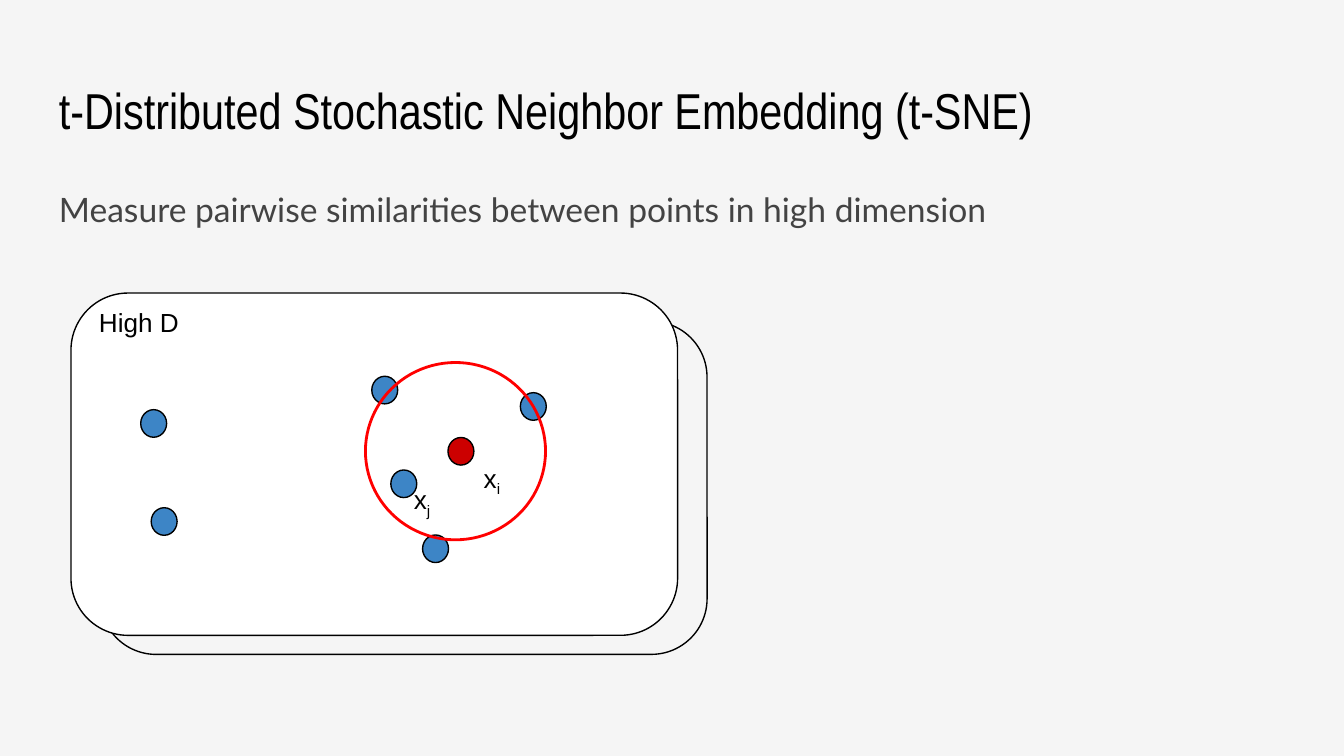
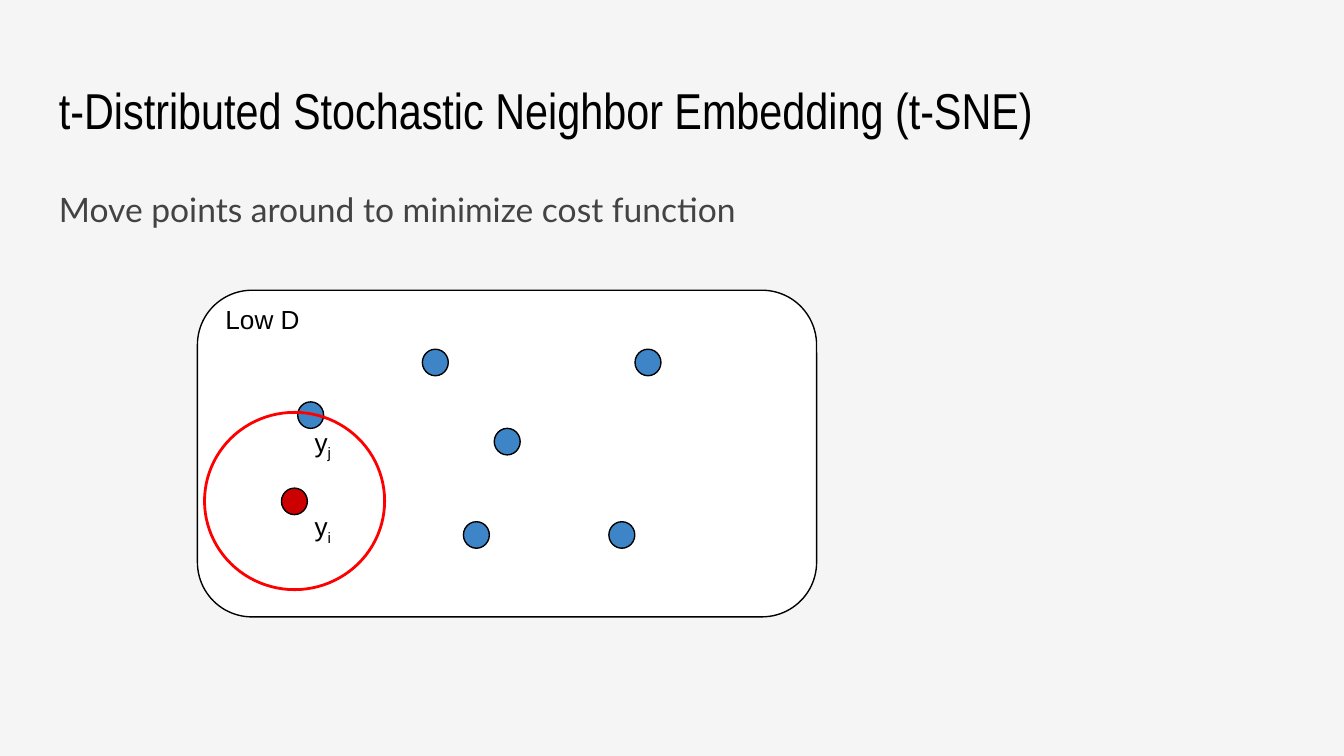
from pptx import Presentation
from pptx.dml.color import RGBColor
from pptx.enum.shapes import MSO_SHAPE
from pptx.enum.text import MSO_ANCHOR
from pptx.util import Pt

COLORS = {
    "background": "F5F5F5",
    "black": "000000",
    "subtitle": "434343",
    "card": "FFFFFF",
    "neighbor": "3D85C6",
    "center": "CC0000",
    "ring": "FF0000",
}
TITLE = "t-Distributed Stochastic Neighbor Embedding (t-SNE)"
MARGIN, TEXT_W = 24.5, 671
RING_W, RING_H = 96.5, 95
DOT_W = 13.9


def rgb(name):
    """Return the palette colour called name."""
    return RGBColor.from_string(COLORS[name])


def add_shape(slide, kind, box, fill=None, line="black", width=0.75):
    """Draw an outlined preset shape in box, filled if a colour is given."""
    sp = slide.shapes.add_shape(kind, *map(Pt, box))
    sp.shadow.inherit = False
    if fill:
        sp.fill.solid()
        sp.fill.fore_color.rgb = rgb(fill)
    else:
        sp.fill.background()
    sp.line.color.rgb = rgb(line)
    sp.line.width = Pt(width)
    return sp


def add_text(slide, box, text, size=14, font="Arial", color="black", sub=""):
    """Write text with an optional subscript in box and return its paragraph."""
    tf = slide.shapes.add_textbox(*map(Pt, box)).text_frame
    tf.word_wrap = True
    tf.vertical_anchor = MSO_ANCHOR.TOP
    tf.margin_left = tf.margin_right = tf.margin_top = tf.margin_bottom = Pt(7.2)
    p = tf.paragraphs[0]
    p.font.size = Pt(size)
    p.font.name = font
    p.font.color.rgb = rgb(color)
    p.add_run().text = text
    if sub:
        r = p.add_run()
        r.text = sub
        r._r.get_or_add_rPr().set("baseline", "-25000")
    return p


def add_base(prs, subtitle):
    """Add a slide with the shared background, title and a subtitle."""
    slide = prs.slides.add_slide(prs.slide_layouts[6])
    slide.background.fill.solid()
    slide.background.fill.fore_color.rgb = rgb("background")
    add_text(slide, (MARGIN, 35, TEXT_W, 45.4), TITLE, 27, "Arial Narrow")
    p = add_text(slide, (MARGIN, 90.7, TEXT_W, 269.3), subtitle, 18, "Lato", "subtitle")
    p.line_spacing = 1.15
    p.space_after = Pt(12)
    return slide


def add_card(slide, box, fill=None):
    """Draw a rounded card in box."""
    add_shape(slide, MSO_SHAPE.ROUNDED_RECTANGLE, box, fill).adjustments[0] = 0.167


def add_scatter(slide, box, name, neighbors, center, ring, labels, dot_h):
    """Draw a named card of points, with offsets measured from its corner."""
    x, y = box[:2]
    add_card(slide, box, "card")
    add_text(slide, (x + 7.9, y, 120, 31.7), name)
    points = [(pos, "neighbor") for pos in neighbors] + [(center, "center")]
    for (dx, dy), fill in points:
        add_shape(slide, MSO_SHAPE.OVAL, (x + dx, y + dy, DOT_W, dot_h), fill)
    add_shape(slide, MSO_SHAPE.OVAL, (x + ring[0], y + ring[1], RING_W, RING_H),
              line="ring", width=1.5)
    for letter, sub, dx, dy in labels:
        add_text(slide, (x + dx, y + dy, 37.4, 31.7), letter, sub=sub)


def add_high_slide(prs):
    """Build the slide about similarities in high dimension."""
    slide = add_base(prs, "Measure pairwise similarities between points in high dimension")
    x, y, w, h = box = (38, 157, 325, 183.4)
    add_card(slide, (x + 15.8, y + 15.2, w, 178.4))
    add_scatter(
        slide, box, "High D",
        neighbors=[(37.4, 62.5), (43, 115), (161.2, 44.6),
                   (240.8, 53.4), (188.4, 129.6), (171.4, 94.8)],
        center=(202, 77.4), ring=(157.8, 37.2),
        labels=[("x", "i", 214, 83.5), ("x", "j", 176.6, 95)], dot_h=14.8)


def add_low_slide(prs):
    """Build the slide about moving points in low dimension."""
    slide = add_base(prs, "Move points around to minimize cost function")
    add_scatter(
        slide, (105.8, 155.5, 331.7, 175), "Low D",
        neighbors=[(53.7, 59.8), (159, 74), (120.5, 31.6),
                   (234.4, 31.6), (220.4, 124), (142.5, 124)],
        center=(45, 106), ring=(3.8, 65.4),
        labels=[("y", "i", 55.6, 111), ("y", "j", 55.6, 65.5)], dot_h=14.2)


def main():
    """Build and save the deck."""
    prs = Presentation()
    prs.slide_width, prs.slide_height = Pt(720), Pt(405)
    add_high_slide(prs)
    add_low_slide(prs)
    prs.save("out.pptx")


if __name__ == "__main__":
    main()
